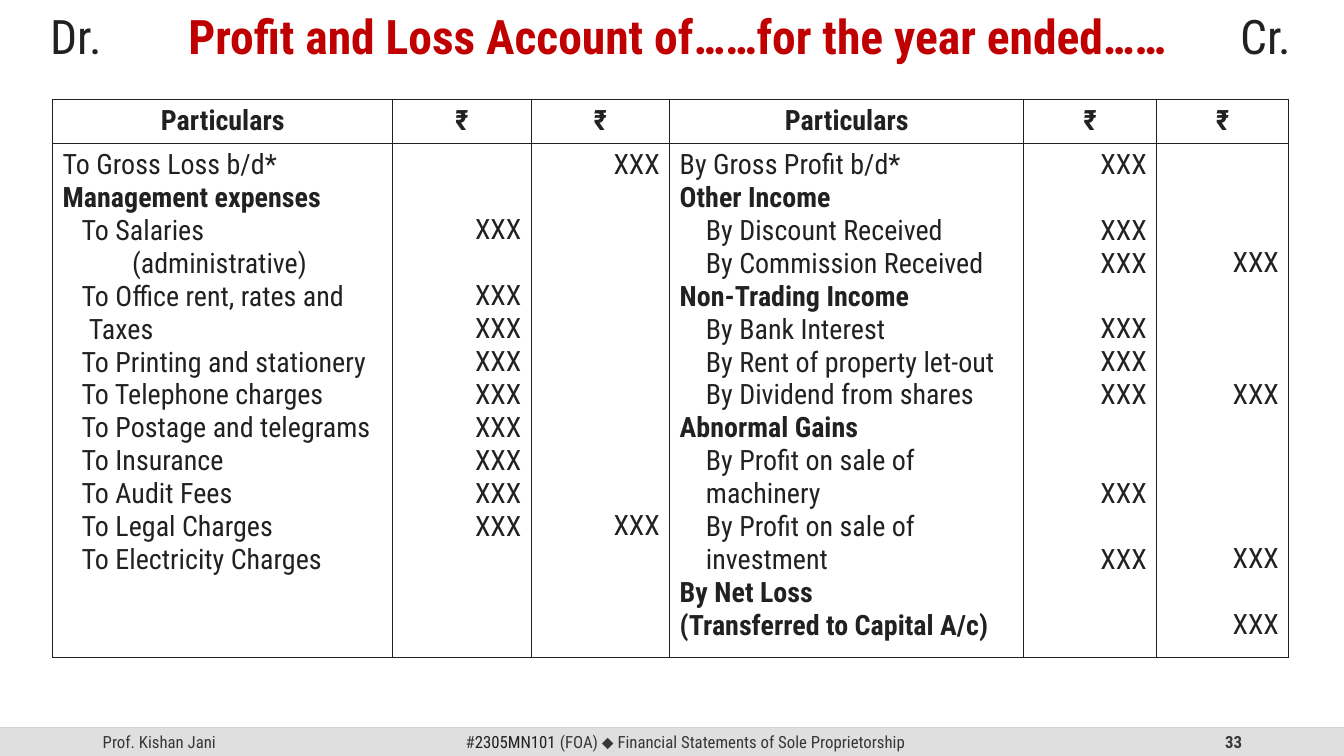
import pptx
import pptx.dml.color
import pptx.enum.shapes
import pptx.enum.text
import pptx.oxml
import pptx.oxml.ns
import pptx.util
from pptx.util import Cm, Pt

FONT = "Roboto Condensed"
INK, RED, GREY = "212121", "C00000", "373737"
LINE_POINTS = 23.44
CELL_MARGIN = Cm(0.13)
SLIDE_WIDTH, SLIDE_HEIGHT = Cm(33.87), Cm(19.05)
FOOTER_TOP, FOOTER_HEIGHT = Cm(18.34), Cm(0.71)
ALIGN = pptx.enum.text.PP_ALIGN
MIDDLE = pptx.enum.text.MSO_ANCHOR.MIDDLE

PLAIN = {}
HEADING = {"bold": True}
HANGING = {"margin": Cm(1.75), "indent": Cm(-1.27)}
WRAPPED = {"margin": Cm(0.66), "indent": Cm(-0.18)}
FIRST_LINE = {"margin": Cm(0), "indent": Cm(0.66)}
BLOCK = {"margin": Cm(0.66), "indent": Cm(0)}

COLUMN_WIDTHS = [8.57, 3.49, 3.49, 8.92, 3.35, 3.33]
HEADERS = ["Particulars", "₹", "₹"] * 2
DEBITS = [
    ("To Gross Loss b/d*", PLAIN),
    ("Management expenses", HEADING),
    ("To Salaries (administrative)", HANGING),
    ("To Office rent, rates and Taxes", WRAPPED),
    ("To Printing and stationery", HANGING),
    ("To Telephone charges", HANGING),
    ("To Postage and telegrams", HANGING),
    ("To Insurance", HANGING),
    ("To Audit Fees", HANGING),
    ("To Legal Charges", HANGING),
    ("To Electricity Charges", HANGING),
]
CREDITS = [
    ("By Gross Profit b/d*", PLAIN),
    ("Other Income", HEADING),
    ("By Discount Received", FIRST_LINE),
    ("By Commission Received", FIRST_LINE),
    ("Non-Trading Income", HEADING),
    ("By Bank Interest", FIRST_LINE),
    ("By Rent of property let-out", FIRST_LINE),
    ("By Dividend from shares", FIRST_LINE),
    ("Abnormal Gains", HEADING),
    ("By Profit on sale of machinery", BLOCK),
    ("By Profit on sale of investment", BLOCK),
    ("By Net Loss", HEADING),
    ("(Transferred to Capital A/c)", HEADING),
]
AMOUNT_LINES = {
    1: [2, 4, 5, 6, 7, 8, 9, 10, 11],
    2: [0, 11],
    4: [0, 2, 3, 5, 6, 7, 10, 12],
    5: [3, 7, 12, 14],
}


def color(hex_string):
    return pptx.dml.color.RGBColor.from_string(hex_string)


def write(paragraph, text, size=20, hex_string=INK, bold=False, font=FONT,
          align=None, margin=None, indent=None):
    run = paragraph.add_run()
    run.text = text
    run.font.name = font
    run.font.size = Pt(size)
    run.font.bold = bold
    run.font.color.rgb = color(hex_string)
    if align is not None:
        paragraph.alignment = align
    if margin is not None:
        properties = paragraph._p.get_or_add_pPr()
        properties.set("marL", str(int(margin)))
        properties.set("indent", str(int(indent)))


def add_title(slide):
    title = slide.shapes.title
    title.left, title.top, title.width, title.height = 0, 0, SLIDE_WIDTH, Cm(1.98)
    frame = title.text_frame
    frame.margin_left = frame.margin_right = Cm(1.27)
    frame.vertical_anchor = MIDDLE
    frame.auto_size = pptx.enum.text.MSO_AUTO_SIZE.NONE
    paragraph = frame.paragraphs[0]
    paragraph.line_spacing = 0.9
    write(paragraph, "Dr.\t", size=34, align=ALIGN.LEFT)
    write(paragraph, "Profit and Loss Account of……for the year ended……",
          size=34, hex_string=RED, bold=True)
    write(paragraph, "\tCr.", size=34)
    paragraph._p.get_or_add_pPr().append(pptx.oxml.parse_xml(
        f'<a:tabLst {pptx.oxml.ns.nsdecls("a")}>'
        f'<a:tab pos="{int(Cm(15.8))}" algn="ctr"/>'
        f'<a:tab pos="{int(Cm(31.27))}" algn="r"/></a:tabLst>'))


def add_footer_text(slide, left, width, pieces, align):
    box = slide.shapes.add_textbox(left, FOOTER_TOP, width, FOOTER_HEIGHT)
    frame = box.text_frame
    frame.word_wrap = True
    frame.vertical_anchor = MIDDLE
    for text, style in pieces:
        write(frame.paragraphs[0], text, align=align,
              **{"size": 12, "hex_string": GREY, **style})


def add_footer(slide):
    rule = slide.shapes.add_connector(pptx.enum.shapes.MSO_CONNECTOR.STRAIGHT,
                                      0, FOOTER_TOP, SLIDE_WIDTH, FOOTER_TOP)
    rule.line.color.rgb = color("BFBFBF")
    rule.line.width = Pt(1)
    fill_color = rule.line._ln.find(".//" + pptx.oxml.ns.qn("a:srgbClr"))
    namespace = pptx.oxml.ns.nsdecls("a")
    fill_color.append(pptx.oxml.parse_xml(f'<a:alpha {namespace} val="70000"/>'))
    rule._element.spPr.append(pptx.oxml.parse_xml(f"<a:effectLst {namespace}/>"))

    bar = slide.shapes.add_shape(pptx.enum.shapes.MSO_SHAPE.RECTANGLE,
                                 0, FOOTER_TOP, SLIDE_WIDTH, FOOTER_HEIGHT)
    bar.shadow.inherit = False
    bar.fill.solid()
    bar.fill.fore_color.rgb = color("DFDFDF")
    bar.line.fill.background()

    add_footer_text(slide, Cm(2.34), Cm(7.62), [("Prof. Kishan Jani", {})], ALIGN.LEFT)
    add_footer_text(slide, Cm(23.93), Cm(7.62), [("33", {"bold": True})], ALIGN.RIGHT)
    add_footer_text(slide, Cm(10.62), Cm(13.31), [
        ("#", {}),
        ("2305MN101 ", {"hex_string": INK}),
        ("(FOA) ", {}),
        ("⬥", {"font": "Arial"}),
        (" Financial Statements of Sole Proprietorship", {}),
    ], ALIGN.CENTER)


def format_cell(cell):
    properties = cell._tc.get_or_add_tcPr()
    for side in ("lnL", "lnR", "lnT", "lnB"):
        properties.append(pptx.oxml.parse_xml(
            f'<a:{side} {pptx.oxml.ns.nsdecls("a")} w="{int(Pt(1))}"><a:solidFill>'
            f'<a:srgbClr val="{INK}"/></a:solidFill></a:{side}>'))
    cell.fill.background()
    cell.margin_left = cell.margin_right = Cm(0.25)
    cell.margin_top = cell.margin_bottom = CELL_MARGIN


def next_paragraph(frame, index):
    return frame.add_paragraph() if index else frame.paragraphs[0]


def write_entries(cell, entries):
    for index, (text, style) in enumerate(entries):
        write(next_paragraph(cell.text_frame, index), text, **style)


def write_amounts(cell, lines):
    cell.margin_top = CELL_MARGIN + Pt(LINE_POINTS * lines[0])
    for index, line in enumerate(lines):
        paragraph = next_paragraph(cell.text_frame, index)
        write(paragraph, "XXX", align=ALIGN.RIGHT)
        if index:
            paragraph.space_before = Pt(LINE_POINTS * (line - lines[index - 1] - 1))


def add_account_table(slide):
    frame = slide.shapes.add_table(2, len(COLUMN_WIDTHS), Cm(1.33), Cm(2.5),
                                   Cm(sum(COLUMN_WIDTHS)), Cm(13.78))
    table = frame.table
    table.first_row = table.horz_banding = False
    table.rows[0].height, table.rows[1].height = Cm(1.08), Cm(12.7)
    for column, width in zip(table.columns, COLUMN_WIDTHS):
        column.width = Cm(width)
    for cell in table.iter_cells():
        format_cell(cell)
    for index, header in enumerate(HEADERS):
        write(table.cell(0, index).text_frame.paragraphs[0], header,
              bold=True, align=ALIGN.CENTER)
    write_entries(table.cell(1, 0), DEBITS)
    write_entries(table.cell(1, 3), CREDITS)
    for index, lines in AMOUNT_LINES.items():
        write_amounts(table.cell(1, index), lines)


def main():
    presentation = pptx.Presentation()
    presentation.slide_width, presentation.slide_height = SLIDE_WIDTH, SLIDE_HEIGHT
    slide = presentation.slides.add_slide(presentation.slide_layouts[5])
    add_footer(slide)
    add_title(slide)
    add_account_table(slide)
    presentation.save("out.pptx")


if __name__ == "__main__":
    main()
